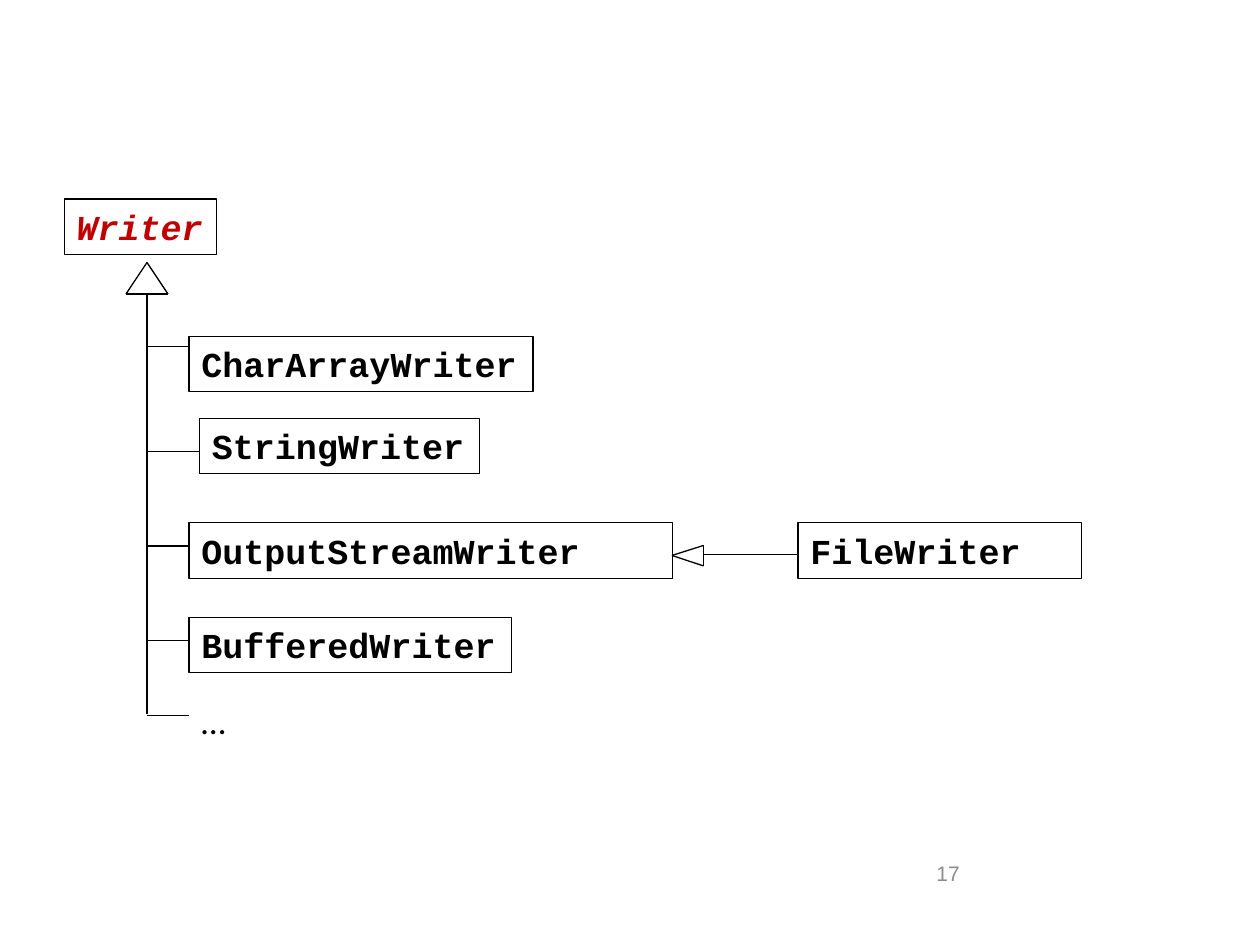
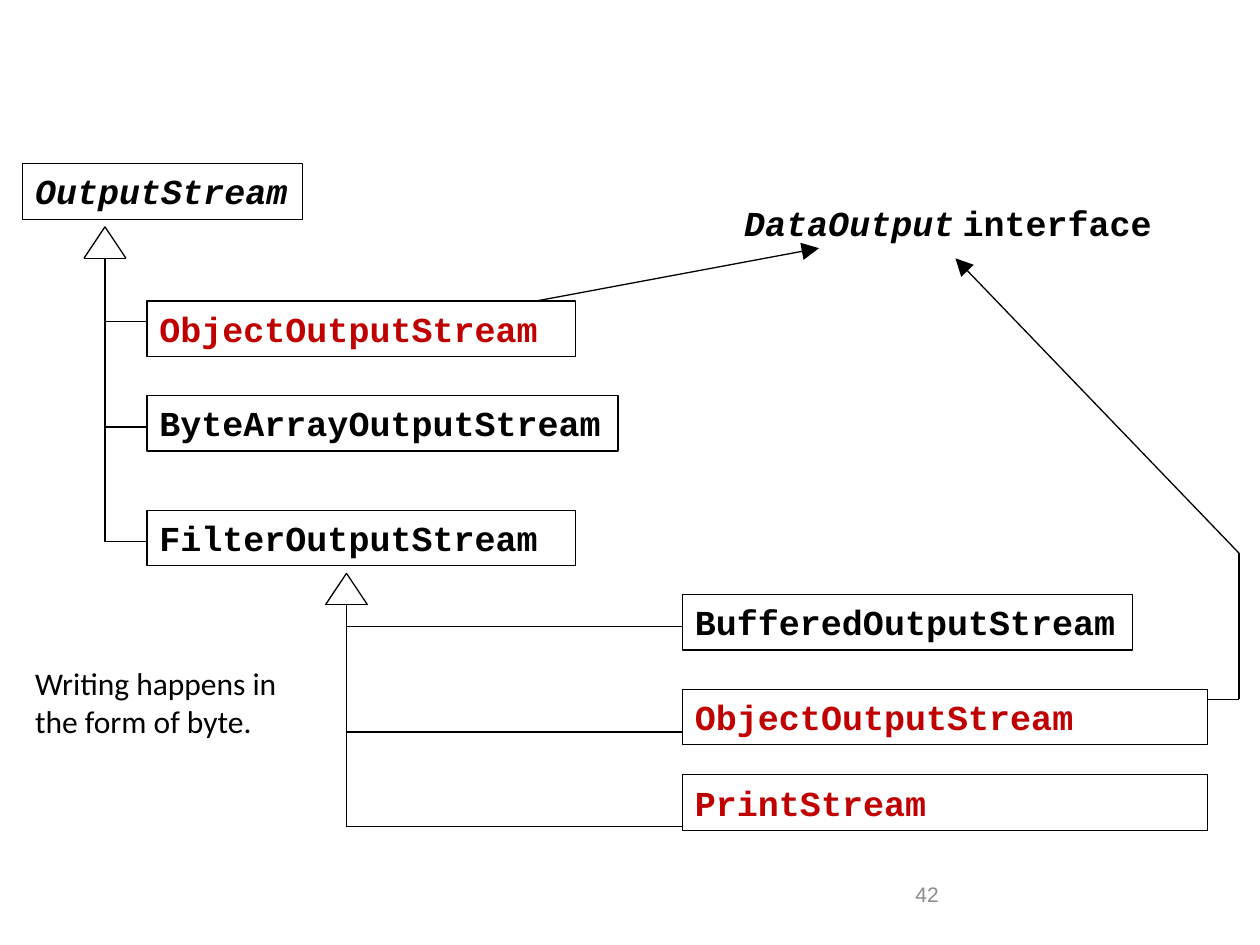
from lxml import etree
from pptx import Presentation, util as u
from pptx.dml.color import RGBColor
from pptx.enum import shapes, text
from pptx.oxml.ns import qn

# Shared grid (120 columns by 90 rows) and style
COLUMNS, ROWS = 120, 90
WIDTH, HEIGHT = u.Inches(10), u.Inches(7.5)
BLACK, RED, GREY = "000000", "C00000", "8C8C8C"
CODE, BODY, NUMBER = "Courier New", "Calibri", "Arial"
LINE_WIDTH = u.Pt(0.75)
BOX_HEIGHT = 5.28
HEAD_LENGTH, HEAD_HALF = 3, 2


def across(columns):
    return round(WIDTH * columns / COLUMNS)


def down(rows):
    return round(HEIGHT * rows / ROWS)


def color(value):
    return RGBColor.from_string(value)


# Text
def write(shape, *runs, font=CODE, size=20, ink=BLACK, bold=True,
          wrap=False, grow=True, anchor=text.MSO_ANCHOR.TOP):
    """Fill a shape with one paragraph; a run is (words, italic[, font])."""
    frame = shape.text_frame
    frame.word_wrap = wrap
    frame.vertical_anchor = anchor
    frame.auto_size = (text.MSO_AUTO_SIZE.SHAPE_TO_FIT_TEXT if grow
                       else text.MSO_AUTO_SIZE.NONE)
    paragraph = frame.paragraphs[0]
    paragraph.alignment = text.PP_ALIGN.LEFT
    for words, italic, *own_font in runs:
        run = paragraph.add_run()
        run.text = words
        run.font.name = own_font[0] if own_font else font
        run.font.size = u.Pt(size)
        run.font.bold, run.font.italic = bold, italic
        run.font.color.rgb = color(ink)


def label(slide, left, top, width, height, *runs, **style):
    shape = slide.shapes.add_textbox(across(left), down(top),
                                     across(width), down(height))
    write(shape, *runs, **style)


def page_number(slide, left, top, number):
    label(slide, left, top, 28, 6.24, (number, False), font=NUMBER, size=12,
          ink=GREY, bold=False, wrap=True, grow=False,
          anchor=text.MSO_ANCHOR.MIDDLE)


def class_box(slide, left, top, width, name, italic=False, **style):
    shape = slide.shapes.add_shape(shapes.MSO_SHAPE.RECTANGLE, across(left),
                                   down(top), across(width), down(BOX_HEIGHT))
    shape.shadow.inherit = False
    shape.fill.background()
    shape.line.color.rgb = color(BLACK)
    shape.line.width = LINE_WIDTH
    write(shape, (name, italic), **style)


# Lines
def line(parent, start, end, arrow=False):
    connector = parent.shapes.add_connector(
        shapes.MSO_CONNECTOR.STRAIGHT, across(start[0]), down(start[1]),
        across(end[0]), down(end[1]))
    connector.line.color.rgb = color(BLACK)
    connector.line.width = LINE_WIDTH
    properties = connector._element.spPr
    etree.SubElement(properties, qn("a:effectLst"))
    if arrow:
        etree.SubElement(properties.find(qn("a:ln")), qn("a:tailEnd"),
                         type="triangle", w="lg", len="lg")


def open_head(slide, tip, first, second):
    """Hollow inheritance arrowhead, kept together as a group."""
    group = slide.shapes.add_group_shape()
    for start, end in ((tip, first), (tip, second), (first, second)):
        line(group, start, end)


def tree(slide, column, top, bottom, branches):
    """Upward head, trunk and branches given as (row, end column)."""
    base = top + HEAD_LENGTH
    open_head(slide, (column, top), (column - HEAD_HALF, base),
              (column + HEAD_HALF, base))
    line(slide, (column, base), (column, bottom))
    for row, end in branches:
        line(slide, (column, row), (end, row))


# Slides
def writer_slide(slide):
    page_number(slide, 88, 80, "17")
    tree(slide, 14, 25, 68,
         [(33, 18), (43, 19), (52, 18), (61, 18), (68.16, 18)])

    class_box(slide, 6.12, 18.96, 14.52, "Writer", italic=True, ink=RED)
    class_box(slide, 18, 32.04, 32.76, "CharArrayWriter")
    class_box(slide, 19, 39.84, 26.64, "StringWriter")
    class_box(slide, 18, 49.8, 46.08, "OutputStreamWriter", wrap=True)
    class_box(slide, 76, 49.8, 27, "FileWriter", wrap=True)
    class_box(slide, 18, 58.8, 30.72, "BufferedWriter")
    label(slide, 18, 66, 5.76, BOX_HEIGHT, ("…", False), font=BODY, bold=False)

    open_head(slide, (64, 52.9), (67, 51.95), (67, 53.9))
    line(slide, (67, 52.8), (75.9, 52.8))


def output_stream_slide(slide):
    page_number(slide, 86, 82, "42")
    tree(slide, 10, 21.6, 51.6, [(row, 14) for row in (30.6, 40.68, 51.6)])
    tree(slide, 33, 54.6, 78.72, [(row, 65) for row in (59.64, 69.72, 78.72)])

    class_box(slide, 2.16, 15.6, 26.64, "OutputStream", italic=True)
    class_box(slide, 14, 28.68, 40.8, "ObjectOutputStream", ink=RED, wrap=True)
    class_box(slide, 14, 37.68, 44.88, "ByteArrayOutputStream")
    class_box(slide, 14, 48.6, 40.8, "FilterOutputStream", wrap=True)
    class_box(slide, 65, 56.64, 42.84, "BufferedOutputStream")
    class_box(slide, 65, 65.64, 50, "ObjectOutputStream", ink=RED, wrap=True)
    class_box(slide, 65, 73.8, 50, "PrintStream", ink=RED, wrap=True)

    # Links to the interface; a narrow space keeps its label on one line
    label(slide, 69.7, 18.6, 43, BOX_HEIGHT, ("DataOutput", True),
          (" ", True, BODY), ("interface", False), wrap=True)
    line(slide, (51, 28.68), (78, 23.64), arrow=True)
    line(slide, (115, 66.6), (118, 66.6))
    line(slide, (118, 66.6), (118, 52.68))
    line(slide, (118, 52.68), (91, 24.6), arrow=True)

    label(slide, 2.16, 62.64, 28, 8.52,
          ("Writing happens in the form of byte.", False),
          font=BODY, size=18, bold=False, wrap=True)


def main():
    presentation = Presentation()
    presentation.slide_width, presentation.slide_height = WIDTH, HEIGHT
    blank = presentation.slide_layouts[6]
    for build in (writer_slide, output_stream_slide):
        build(presentation.slides.add_slide(blank))
    presentation.save("out.pptx")


main()
